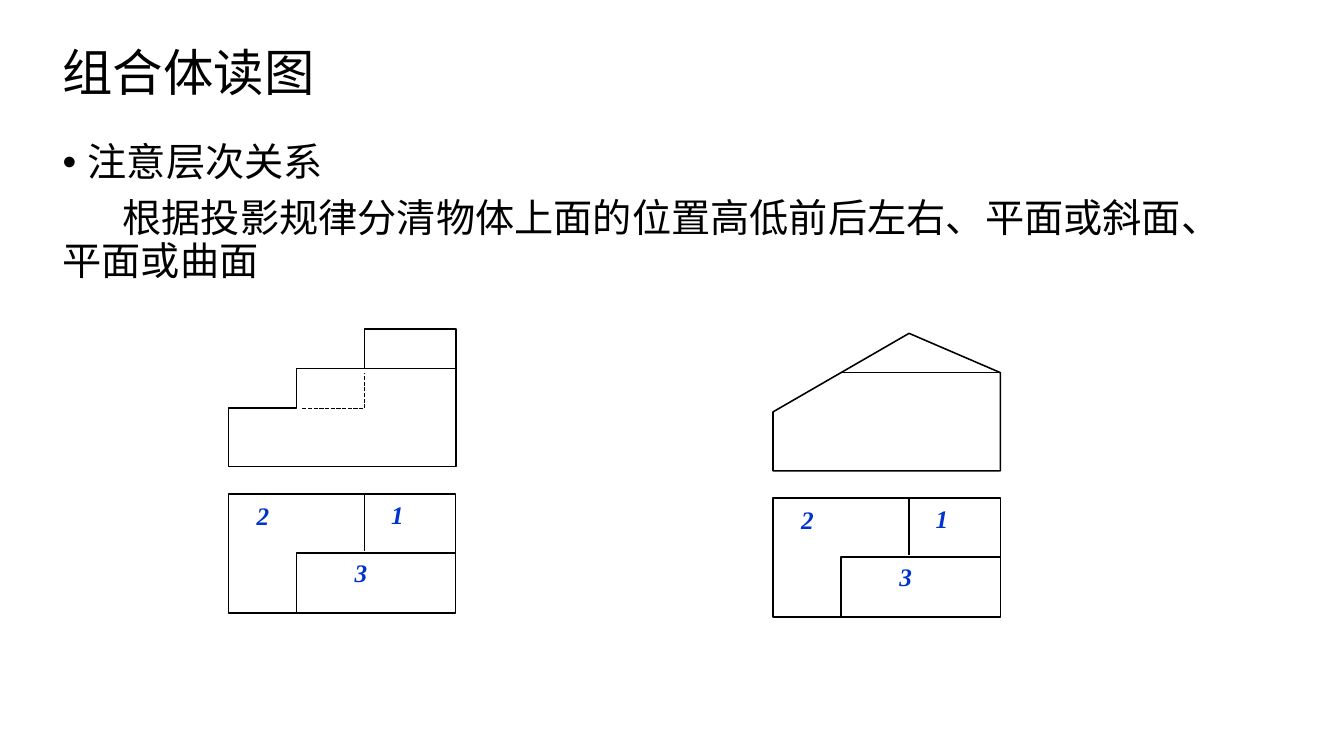
from lxml.etree import SubElement
from pptx import Presentation
from pptx.dml.color import RGBColor
from pptx.enum.dml import MSO_LINE
from pptx.enum.shapes import MSO_CONNECTOR, MSO_SHAPE
from pptx.enum.text import MSO_ANCHOR, MSO_AUTO_SIZE, PP_ALIGN
from pptx.oxml.ns import qn
from pptx.util import Cm, Pt

SANS = "Noto Sans CJK SC"
BLACK, WHITE, BLUE = "000000", "FFFFFF", "0033CC"

# Edges of both views, in cm from the top left of a drawing
X = (0, 3.43, 6.86, 11.46)
Y = (0, 1.98, 3.96, 6.93)
PLAN, MID, END = 8.31, 11.28, 14.3

STEPS = [(X[0], Y[3]), (X[3], Y[3]), (X[3], Y[0]), (X[2], Y[0]),
         (X[2], Y[1]), (X[1], Y[1]), (X[1], Y[2]), (X[0], Y[2])]
GABLE = [(X[0], Y[3]), (X[3], Y[3]), (X[3], Y[1]), (X[2], Y[0]), (X[0], Y[2])]
HIDDEN = [(3.73, 4.01), (X[2], 4.01), (X[2], 2.2)]
LABELS = [("1", 7.95, 8.43), ("2", 1.17, 8.51), ("3", 6.12, 11.38)]


def rgb(code):
    return RGBColor.from_string(code)


def style(font, name, size, color):
    font.name, font.size = name, Pt(size)
    font.color.rgb = rgb(color)


def stroke(shape, width=2.25):
    shape.line.color.rgb = rgb(BLACK)
    shape.line.width = Pt(width)


def place(shape, left, top, width, height):
    shape.left, shape.top = Cm(left), Cm(top)
    shape.width, shape.height = Cm(width), Cm(height)


def add_path(shapes, left, top, points, fill=None, width=2.25):
    """Draw a closed outline when a fill is given, else an open line."""
    spots = [(Cm(left + x), Cm(top + y)) for x, y in points]
    pen = shapes.build_freeform(*spots[0])
    pen.add_line_segments(spots[1:], close=fill is not None)
    shape = pen.convert_to_shape()
    shape.shadow.inherit = False
    if fill:
        shape.fill.solid()
        shape.fill.fore_color.rgb = rgb(fill)
    else:
        shape.fill.background()
    stroke(shape, width)
    return shape


def add_line(shapes, left, top, start, end):
    line = shapes.add_connector(
        MSO_CONNECTOR.STRAIGHT, Cm(left + start[0]), Cm(top + start[1]),
        Cm(left + end[0]), Cm(top + end[1]))
    SubElement(line._element.spPr, qn("a:effectLst"))
    stroke(line)


def add_label(shapes, text, left, top):
    box = shapes.add_textbox(Cm(left), Cm(top), Cm(4.17), Cm(1.8))
    box.text_frame.word_wrap = True
    box.text_frame.text = text
    font = box.text_frame.paragraphs[0].runs[0].font
    style(font, "Times New Roman", 36, BLUE)
    font.bold = font.italic = True


def add_views(shapes, left, top, outline, hidden=None):
    """Draw a front view above its plan, with the numbered faces."""
    add_path(shapes, left, top, outline, WHITE)
    if hidden:
        dash = add_path(shapes, left, top, hidden, width=0.75)
        dash.line.dash_style = MSO_LINE.LONG_DASH
    rect = shapes.add_shape(MSO_SHAPE.RECTANGLE, Cm(left), Cm(top + PLAN),
                            Cm(X[3]), Cm(END - PLAN))
    rect.shadow.inherit = False
    rect.fill.background()
    stroke(rect)
    add_path(shapes, left, top, [(X[3], MID), (X[1], MID), (X[1], END)])
    add_line(shapes, left, top, (X[2], PLAN), (X[2], MID - 0.1))
    add_line(shapes, left, top, (X[1], Y[1]), (X[3], Y[1]))
    for text, x, y in LABELS:
        add_label(shapes, text, left + x, top + y)


def set_text(para, size):
    para.alignment = PP_ALIGN.LEFT
    para.line_spacing = 0.9
    for run in para.runs:
        style(run.font, SANS, size, BLACK)
        SubElement(run.font._element, qn("a:ea")).set("typeface", SANS)


def set_bullet(para, margin, indent, mark=None):
    props = para._p.get_or_add_pPr()
    props.set("marL", str(Cm(margin)))
    props.set("indent", str(Cm(indent)))
    if mark:
        SubElement(props, qn("a:buFont")).set("typeface", "Arial")
        SubElement(props, qn("a:buChar")).set("char", mark)
    else:
        SubElement(props, qn("a:buNone"))


def fill_title(title):
    place(title, 2.9, 1.9, 55.55, 3.76)
    frame = title.text_frame
    frame.text = "组合体读图"
    frame.auto_size = MSO_AUTO_SIZE.NONE
    frame.vertical_anchor = MSO_ANCHOR.MIDDLE
    set_text(frame.paragraphs[0], 72)


def fill_body(body):
    place(body, 2.9, 7.06, 60.2, 27.25)
    frame = body.text_frame
    frame.text = ("注意层次关系\n"
                  "根据投影规律分清物体上面的位置高低前后左右、平面或斜面、平面或曲面")
    frame.auto_size = MSO_AUTO_SIZE.NONE
    head, note = frame.paragraphs
    set_bullet(head, 1.27, -1.27, "•")
    set_bullet(note, 0, 3.02)
    head.space_before, note.space_before = Pt(0), Pt(20)
    for para in (head, note):
        set_text(para, 56)


def main():
    deck = Presentation()
    deck.slide_width, deck.slide_height = Cm(67.74), Cm(38.1)
    slide = deck.slides.add_slide(deck.slide_layouts[1])
    fill_title(slide.shapes.title)
    fill_body(slide.placeholders[1])
    add_views(slide.shapes, 11.51, 16.59, STEPS, HIDDEN)
    add_views(slide.shapes, 38.96, 16.8, GABLE)
    deck.save("out.pptx")


if __name__ == "__main__":
    main()
